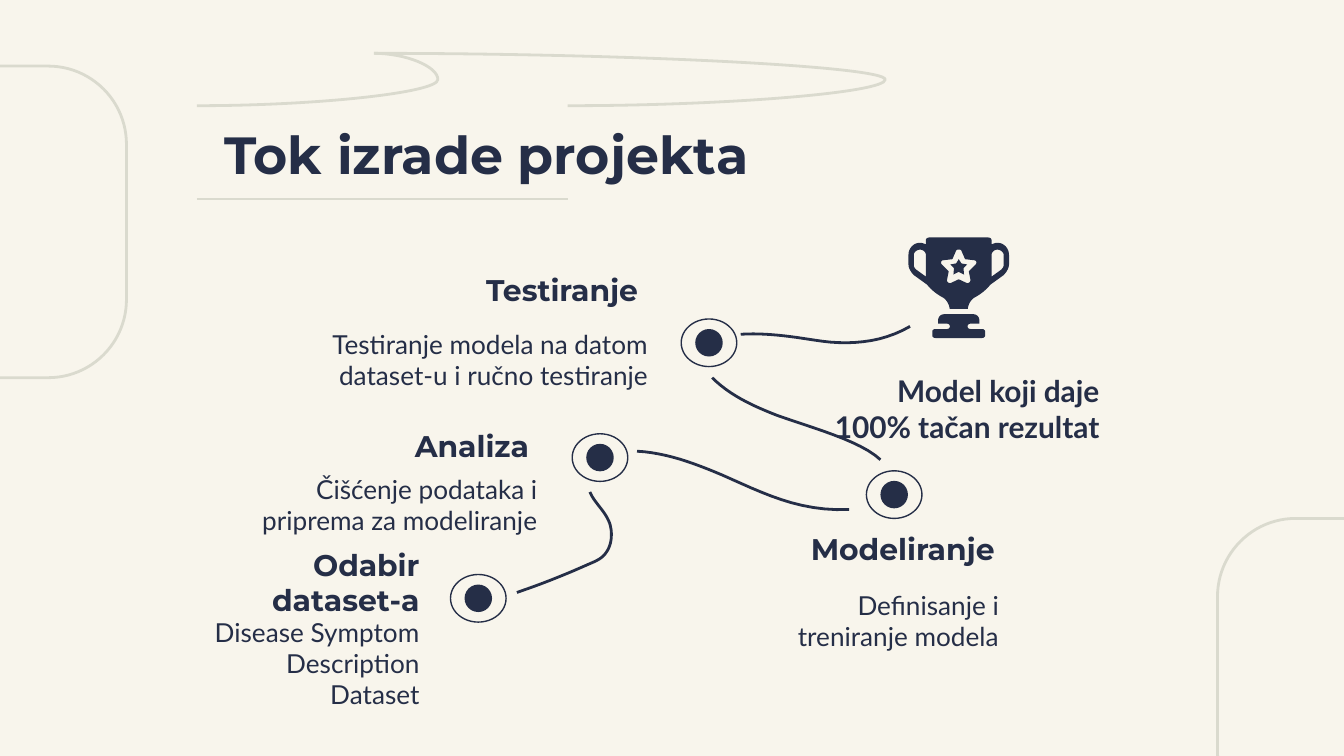
from lxml import etree
from pptx import Presentation
from pptx.dml.color import RGBColor
from pptx.enum.shapes import MSO_CONNECTOR, MSO_SHAPE
from pptx.enum.text import MSO_ANCHOR, PP_ALIGN
from pptx.oxml.ns import qn
from pptx.util import Cm, Pt

ELLIPSE, ROUNDED = MSO_SHAPE.OVAL, MSO_SHAPE.ROUNDED_RECTANGLE
STRAIGHT, CURVE = MSO_CONNECTOR.STRAIGHT, MSO_CONNECTOR.CURVE
LEFT, RIGHT, MIDDLE = PP_ALIGN.LEFT, PP_ALIGN.RIGHT, MSO_ANCHOR.MIDDLE

THEME = {
    "paper": RGBColor(0xF8, 0xF5, 0xEC),
    "ink": RGBColor(0x25, 0x2E, 0x47),
    "ornament": RGBColor(0xDA, 0xDA, 0xCE),
    "title": ("Montserrat", 28, True),
    "heading": ("Montserrat", 16, True),
    "result": ("Lato", 16, True),
    "body": ("Lato", 14, False),
    "line": 1.5,
    "ring_line": 0.75,
    "inset": 0.25,
}

# Content; all lengths are in centimetres, boxes are left, top, width, height
TITLE = ("Tok izrade projekta", (3.99, 2.11, 10.97, 1.6))
RESULT = ("Model koji daje 100% tačan rezultat", (15.34, 6.77, 5.69, 1.9))
STEPS = [
    {"center": (9.04, 11.31),
     "heading": ("Odabir dataset-a", (3.25, 10.41, 4.93, 1.19), 0.25),
     "body": ("Disease Symptom Description Dataset", (3.4, 11.86, 4.78, 1.35))},
    {"center": (11.34, 8.65),
     "heading": ("Analiza", (6.3, 7.82, 4.11, 1.19), 0.41),
     "body": ("Čišćenje podataka i priprema za modeliranje", (4.57, 8.86, 5.84, 1.35))},
    {"center": (16.9, 9.35),
     "heading": ("Modeliranje", (14.94, 9.78, 4.11, 1.19), 0.25),
     "body": ("Definisanje i treniranje modela", (14.68, 11.05, 4.45, 1.35))},
    {"center": (13.4, 6.48),
     "heading": ("Testiranje", (8.36, 4.88, 4.11, 1.19), 0.41),
     "body": ("Testiranje modela na datom dataset-u i ručno testiranje",
              (5.87, 6.12, 6.63, 1.35))},
]
RING_SIZE, DOT_SIZE = (1.05, 0.9), (0.52, 0.52)

# Outlines: a pair is a point, six numbers are a cubic curve
TRAILS = [
    [(11.15, 9.3), (11.23, 9.5, 11.43, 9.65, 11.52, 9.88),
     (11.58, 10.06, 11.57, 10.29, 11.46, 10.44),
     (11.38, 10.57, 11.23, 10.62, 11.07, 10.69),
     (10.67, 10.87, 10.21, 11.05, 9.77, 11.2)],
    [(12.04, 8.53), (12.6, 8.56, 13.13, 8.76, 13.65, 8.98),
     (14.38, 9.3, 15.09, 9.68, 16.05, 9.63)],
    [(13.46, 7.14), (13.79, 7.47, 14.22, 7.67, 14.68, 7.85),
     (15.32, 8.08, 16.26, 8.33, 16.64, 8.69)],
    [(14, 6.32), (14.48, 6.29, 14.94, 6.36, 15.39, 6.43),
     (16, 6.53, 16.64, 6.5, 17.2, 6.17)],
]

# Trophy: right halves, measured from the top centre
TROPHY_TOP = (18.12, 4.49)
CUP = [(0, 0), (0.55, 0), (0.59, 0, 0.62, 0.02, 0.62, 0.05), (0.62, 0.13),
       (0.65, 0.12, 0.69, 0.1, 0.73, 0.1), (0.85, 0.1, 0.95, 0.2, 0.95, 0.33),
       (0.95, 0.51), (0.95, 0.58, 0.9, 0.66, 0.85, 0.71), (0.6, 0.89),
       (0.52, 0.99, 0.42, 1.07, 0.29, 1.14), (0.22, 1.19, 0.18, 1.27, 0.17, 1.35),
       (0, 1.35)]
HANDLE = [(0.73, 0.23), (0.79, 0.23, 0.85, 0.28, 0.85, 0.33), (0.85, 0.51),
          (0.85, 0.56, 0.83, 0.58, 0.8, 0.61), (0.62, 0.74), (0.62, 0.33),
          (0.62, 0.28, 0.67, 0.23, 0.73, 0.23)]
STAR = [(0, 0.23), (0.03, 0.23, 0.04, 0.23, 0.05, 0.25), (0.12, 0.41), (0.29, 0.43),
        (0.33, 0.43, 0.35, 0.48, 0.32, 0.51), (0.19, 0.64), (0.22, 0.79),
        (0.23, 0.84, 0.19, 0.87, 0.15, 0.86), (0, 0.79)]
STAR_CORE = [(0, 0.41), (0.05, 0.49), (0.16, 0.51), (0.09, 0.58), (0.1, 0.7), (0, 0.65)]
BASE = [(0, 1.45), (0.27, 1.45), (0.34, 1.45, 0.39, 1.5, 0.39, 1.57), (0.39, 1.63),
        (0.22, 1.63), (0.15, 1.63, 0.15, 1.73, 0.22, 1.73), (0.44, 1.73),
        (0.47, 1.73, 0.5, 1.75, 0.5, 1.78), (0.5, 1.85),
        (0.5, 1.88, 0.47, 1.9, 0.44, 1.9), (0, 1.9)]

# Ornaments
FRAMES = [(-2.54, 1.25, 4.93, 5.89), (23.01, 9.8, 4.93, 5.89)]
ORNAMENT_LINES = [  # kind, begin, end, bend
    (STRAIGHT, (3.72, 3.76), (10.73, 3.76), None),
    (CURVE, (3.72, 2), (7.07, 1.01), 1.36),
    (CURVE, (10.73, 2), (7.07, 1.01), -1.64),
]
ORNAMENT_LINES[2] = ORNAMENT_LINES[2][:3] + (-1.64,)


def lengths(values):
    return [Cm(value) for value in values]


def trace(outline, steps=12):
    """Turn points and cubic curves into a list of points."""
    points = [outline[0]]
    for part in outline[1:]:
        if len(part) == 2:
            points.append(part)
            continue
        nodes = [points[-1], part[:2], part[2:4], part[4:]]
        for step in range(1, steps + 1):
            t = step / steps
            weights = ((1 - t) ** 3, 3 * t * (1 - t) ** 2, 3 * t * t * (1 - t), t ** 3)
            points.append(tuple(sum(w * node[axis] for w, node in zip(weights, nodes))
                                for axis in (0, 1)))
    return points


def mirror(points):
    return [(-x, y) for x, y in reversed(points)]


def symmetric(outline):
    points = trace(outline)
    return points + mirror(points)


def paint(shape, fill=None, line=None, width=THEME["line"]):
    shape.shadow.inherit = False
    if fill is None:
        shape.fill.background()
    else:
        shape.fill.solid()
        shape.fill.fore_color.rgb = fill
    if line is None:
        shape.line.fill.background()
    else:
        shape.line.color.rgb = line
        shape.line.width = Pt(width)


def add_outline(shapes, contours, origin=(0, 0), closed=True):
    builder = None
    for contour in contours:
        first, *rest = [lengths((origin[0] + x, origin[1] + y)) for x, y in contour]
        if builder is None:
            builder = shapes.build_freeform(*first, scale=1.0)
        else:
            builder.move_to(*first)
        builder.add_line_segments(rest, close=closed)
    return builder.convert_to_shape()


def add_ellipse(shapes, center, size):
    corner = [middle - extent / 2 for middle, extent in zip(center, size)]
    return shapes.add_shape(ELLIPSE, *lengths(corner), *lengths(size))


def write(shape, text, style, align=RIGHT, right=THEME["inset"]):
    frame = shape.text_frame
    frame.word_wrap = True
    frame.vertical_anchor = MIDDLE
    frame.margin_left = frame.margin_top = frame.margin_bottom = Cm(THEME["inset"])
    frame.margin_right = Cm(right)
    frame.text = text
    paragraph = frame.paragraphs[0]
    paragraph.alignment = align
    font = paragraph.font
    font.name, size, font.bold = THEME[style]
    font.size = Pt(size)
    font.color.rgb = THEME["ink"]


def add_ornaments(shapes):
    for box in FRAMES:
        frame = shapes.add_shape(ROUNDED, *lengths(box))
        frame.adjustments[0] = 0.3
        paint(frame, line=THEME["ornament"])
    for kind, begin, end, bend in ORNAMENT_LINES:
        connector = shapes.add_connector(kind, *lengths(begin), *lengths(end))
        connector.line.color.rgb = THEME["ornament"]
        connector.line.width = Pt(THEME["line"])
        properties = connector._element.spPr
        etree.SubElement(properties, qn("a:effectLst"))
        if bend is not None:
            guides = properties.find(qn("a:prstGeom")).find(qn("a:avLst"))
            etree.SubElement(guides, qn("a:gd"), name="adj1", fmla=f"val {round(bend * 100000)}")


def add_trophy(shapes):
    group = shapes.add_group_shape().shapes
    handle = trace(HANDLE)
    for contours in ([symmetric(CUP), handle, mirror(handle), symmetric(STAR)],
                     [symmetric(STAR_CORE)], [symmetric(BASE)]):
        paint(add_outline(group, contours, TROPHY_TOP), fill=THEME["ink"])


def main():
    presentation = Presentation()
    presentation.slide_width, presentation.slide_height = Cm(25.4), Cm(14.29)
    slide = presentation.slides.add_slide(presentation.slide_layouts[5])
    slide.background.fill.solid()
    slide.background.fill.fore_color.rgb = THEME["paper"]
    shapes = slide.shapes

    # Title and ornaments
    text, box = TITLE
    title = shapes.title
    title.left, title.top, title.width, title.height = lengths(box)
    write(title, text, "title", LEFT)
    add_ornaments(shapes)

    # Trails between the steps
    for trail in TRAILS:
        paint(add_outline(shapes, [trace(trail)], closed=False), line=THEME["ink"])

    # Steps: marker, heading and description
    for step in STEPS:
        ring = add_ellipse(shapes, step["center"], RING_SIZE)
        paint(ring, line=THEME["ink"], width=THEME["ring_line"])
        paint(add_ellipse(shapes, step["center"], DOT_SIZE), fill=THEME["ink"])
        heading, box, right = step["heading"]
        write(shapes.add_textbox(*lengths(box)), heading, "heading", right=right)
        body, box = step["body"]
        write(shapes.add_textbox(*lengths(box)), body, "body")

    # Result
    add_trophy(shapes)
    text, box = RESULT
    write(shapes.add_textbox(*lengths(box)), text, "result")
    presentation.save("out.pptx")


if __name__ == "__main__":
    main()
